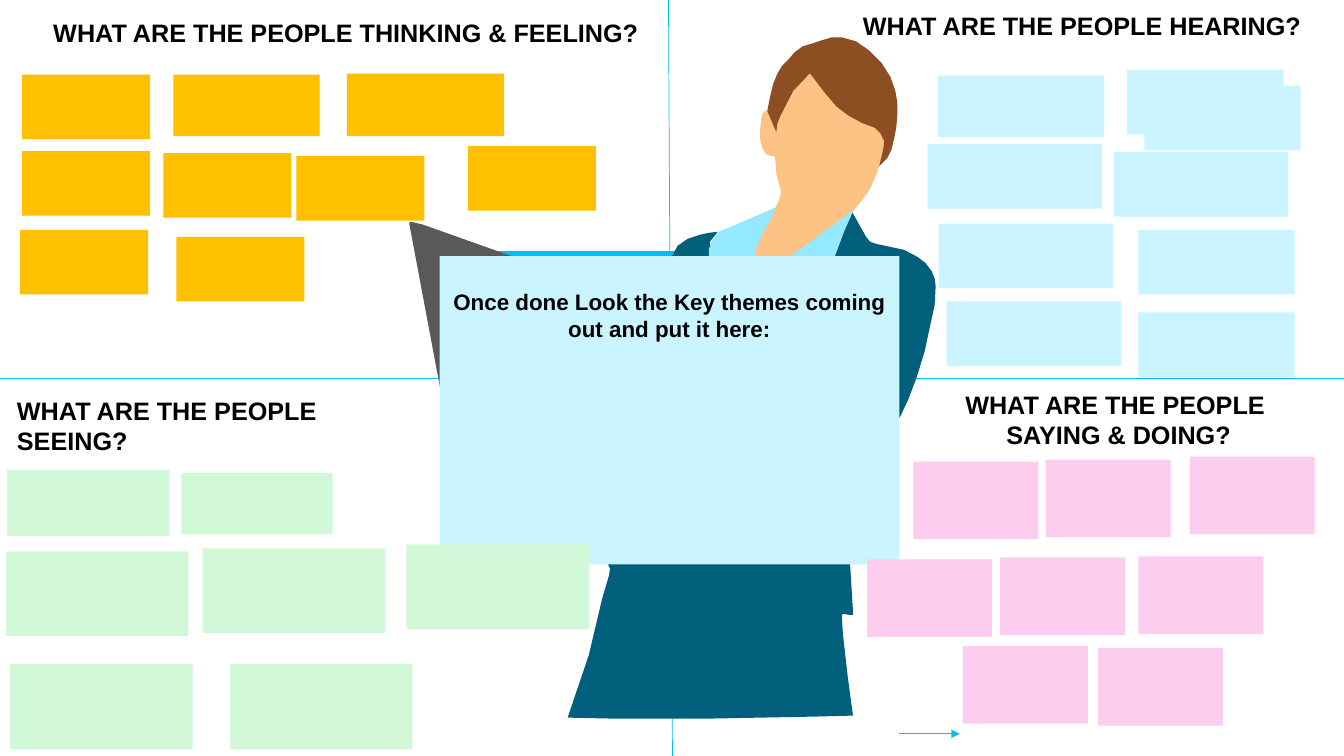
"""Build an empathy map slide with four quadrants of notes around a figure holding a board."""
from dataclasses import dataclass
from typing import Any

import pptx
import pptx.dml.color
import pptx.enum.shapes
import pptx.enum.text
import pptx.oxml
import pptx.oxml.ns
import pptx.util

BLACK, ACCENT, PALE_BLUE = "000000", "00BFF3", "CAF4FF"
ALIGN = pptx.enum.text.PP_ALIGN


@dataclass(frozen=True)
class Box:
    left: float
    top: float
    width: float
    height: float


@dataclass(frozen=True)
class Heading:
    box: Box
    lines: tuple[str, ...]
    align: Any = ALIGN.LEFT
    wrap: bool = True


@dataclass(frozen=True)
class NoteGroup:
    color: str
    width: float
    height: float
    corners: tuple[tuple[float, float], ...]


@dataclass(frozen=True)
class Outline:
    color: str
    points: tuple[tuple[int, int], ...]


@dataclass(frozen=True)
class Rule:
    start: tuple[float, float]
    end: tuple[float, float]
    arrow: bool = False


HEADINGS = (
    Heading(Box(0.43, 0.12, 6.06, 0.4), ("WHAT ARE THE PEOPLE THINKING & FEELING?",), wrap=False),
    Heading(Box(0.07, 3.87, 4.2, 0.71), ("WHAT ARE THE PEOPLE SEEING?",)),
    Heading(Box(8.46, 0.05, 4.69, 0.4), ("WHAT ARE THE PEOPLE HEARING?",)),
    Heading(Box(9.46, 3.81, 3.27, 0.71), ("WHAT ARE THE PEOPLE ", "SAYING & DOING?"),
            ALIGN.CENTER, wrap=False),
)

THINKING, SEEING, SAYING = "FFC000", "D1F9D8", "FDCDF0"
NOTE_GROUPS = (
    NoteGroup(THINKING, 1.27, 0.64, ((1.62, 1.52), (0.22, 1.5), (0.22, 0.74), (2.94, 1.55),
                                     (0.2, 2.28), (1.75, 2.35), (4.64, 1.45))),
    NoteGroup(THINKING, 1.45, 0.61, ((1.72, 0.74),)),
    NoteGroup(THINKING, 1.56, 0.62, ((3.44, 0.73),)),
    NoteGroup(PALE_BLUE, 1.65, 0.61, ((9.3, 0.75),)),
    NoteGroup(PALE_BLUE, 1.73, 0.64, ((9.2, 1.43), (9.31, 2.22), (9.39, 2.99), (11.05, 1.51))),
    NoteGroup(PALE_BLUE, 1.55, 0.64, ((11.18, 0.69), (11.29, 2.28), (11.29, 3.1), (11.35, 0.85))),
    NoteGroup(SEEING, 1.5, 0.61, ((1.8, 4.69),)),
    NoteGroup(SEEING, 1.61, 0.66, ((0.07, 4.66),)),
    NoteGroup(SEEING, 1.81, 0.84, ((2.28, 6.59), (2.01, 5.44), (0.1, 6.59), (0.06, 5.47),
                                   (4.03, 5.4))),
    NoteGroup(SAYING, 1.24, 0.77, ((9.06, 4.58), (10.37, 4.56), (11.8, 4.53), (8.6, 5.55),
                                   (9.92, 5.53), (11.29, 5.52), (9.55, 6.41), (10.89, 6.43))),
)

SUIT = Outline("005F7A", (
    (835, 612), (836, 629), (841, 673), (846, 710), (806, 711), (700, 713), (610, 713),
    (563, 712), (584, 650), (597, 595), (604, 571), (605, 564), (600, 554), (585, 536),
    (585, 532), (611, 496), (616, 485), (597, 490), (571, 492), (529, 489), (527, 487),
    (528, 485), (546, 488), (557, 483), (563, 477), (643, 470), (663, 471), (646, 533),
    (699, 540), (704, 535), (711, 469), (679, 467), (675, 453), (656, 440), (662, 403),
    (645, 406), (624, 408), (622, 405), (627, 372), (646, 322), (658, 277), (666, 255),
    (672, 244), (682, 237), (694, 233), (703, 231), (712, 230), (704, 240), (704, 256),
    (708, 266), (716, 261), (720, 279), (723, 290), (718, 310), (718, 332), (712, 400),
    (728, 358), (758, 307), (803, 260), (809, 261), (816, 283), (841, 218), (845, 210),
    (859, 235), (863, 240), (869, 242), (883, 245), (897, 248), (910, 255), (918, 261),
    (924, 269), (927, 276), (928, 284), (927, 303), (923, 321), (917, 349), (909, 375),
    (901, 396), (893, 413), (870, 448), (840, 488), (839, 492), (842, 541), (846, 606),
    (846, 610), (842, 610), (837, 609), (835, 610)))
SLEEVE = Outline("595959", (
    (406, 222), (406, 220), (408, 220), (420, 223), (510, 255), (512, 257), (537, 399),
    (606, 396), (613, 398), (677, 453), (679, 466), (542, 481), (534, 478), (446, 422),
    (443, 419)))
SKIN = Outline("FDC384", (
    (846, 210), (746, 282), (742, 280), (744, 267), (749, 249), (751, 240), (757, 230),
    (763, 219), (769, 206), (772, 200), (775, 190), (773, 184), (770, 173), (769, 159),
    (768, 155), (765, 155), (760, 153), (756, 147), (754, 138), (754, 128), (755, 119),
    (756, 113), (759, 110), (761, 110), (763, 113), (770, 129), (773, 116), (790, 86),
    (800, 75), (803, 73), (805, 75), (818, 92), (832, 107), (846, 117), (869, 127),
    (874, 132), (877, 140), (876, 148), (873, 162), (868, 176), (862, 189), (854, 200),
    (848, 207)))
SHIRT = Outline("94E8FF", (
    (769, 206), (765, 217), (755, 234), (750, 247), (748, 260), (742, 273), (743, 282),
    (745, 282), (759, 273), (791, 249), (820, 228), (844, 210), (846, 210), (838, 228),
    (816, 286), (813, 270), (805, 260), (771, 293), (731, 355), (712, 401), (718, 331),
    (718, 312), (721, 295), (720, 280), (716, 261), (706, 268), (703, 255), (703, 248),
    (706, 239), (713, 230), (732, 222)))
HAIR = Outline("8D4E22", (
    (876, 148), (877, 140), (873, 132), (868, 127), (855, 122), (842, 115), (830, 106),
    (818, 92), (805, 75), (803, 73), (801, 75), (787, 90), (774, 115), (771, 123),
    (770, 131), (761, 110), (762, 105), (764, 95), (767, 83), (771, 73), (776, 65),
    (782, 59), (788, 52), (796, 46), (806, 43), (815, 40), (825, 37), (835, 37),
    (849, 41), (862, 50), (874, 62), (883, 76), (888, 90), (890, 102), (890, 114),
    (889, 126), (887, 137), (884, 149), (880, 157), (872, 165)))

BACKDROP = Box(4.44, 2.49, 4.44, 2.52)
BOARD = Box(4.36, 2.54, 4.56, 3.06)
BOARD_TEXT = "Once done Look the Key themes coming out and put it here:"
QUADRANT_RULES = (Rule((13.33, 3.75), (0, 3.75)), Rule((6.63, 0), (6.67, 7.5)))
FOOT_ARROW = Rule((8.92, 7.28), (9.52, 7.28), arrow=True)


def rgb(color: str) -> pptx.dml.color.RGBColor:
    """Turn a hex string into a colour."""
    return pptx.dml.color.RGBColor.from_string(color)


def length(inches: float) -> pptx.util.Length:
    """Turn slide units into a length."""
    return pptx.util.Cm(inches * 2.54)


def frame(box: Box) -> tuple[pptx.util.Length, ...]:
    """Give left, top, width and height of a box as lengths."""
    return tuple(length(side) for side in (box.left, box.top, box.width, box.height))


def paint(shape: Any, color: str) -> None:
    """Fill a shape flat, without line or shadow."""
    shape.shadow.inherit = False
    shape.fill.solid()
    shape.fill.fore_color.rgb = rgb(color)
    shape.line.fill.background()


def add_block(slide: Any, box: Box, color: str) -> Any:
    """Draw a flat rectangle."""
    block = slide.shapes.add_shape(pptx.enum.shapes.MSO_SHAPE.RECTANGLE, *frame(box))
    paint(block, color)
    return block


def add_outline(slide: Any, outline: Outline) -> None:
    """Draw a closed outline given in hundredths of a slide unit."""
    first, *others = outline.points
    builder = slide.shapes.build_freeform(*first, scale=length(0.01))
    builder.add_line_segments(others, close=True)
    paint(builder.convert_to_shape(), outline.color)


def add_rule(slide: Any, rule: Rule) -> None:
    """Draw a thin line, with an arrowhead if asked for."""
    ends = [length(value) for value in (*rule.start, *rule.end)]
    line = slide.shapes.add_connector(pptx.enum.shapes.MSO_CONNECTOR.STRAIGHT, *ends)
    line.line.color.rgb = rgb(ACCENT)
    line.line.width = pptx.util.Pt(0.5)
    qn = pptx.oxml.ns.qn
    properties = line._element.spPr
    if rule.arrow:
        head = properties.find(qn("a:ln")).makeelement(qn("a:tailEnd"), {"type": "triangle"})
        properties.find(qn("a:ln")).append(head)
    properties.append(properties.makeelement(qn("a:effectLst"), {}))


def write(text_frame: Any, lines: tuple[str, ...], size: int, align: Any, layout: dict[str, Any]) -> None:
    """Write bold lines, one paragraph each."""
    layout = {"vertical_anchor": pptx.enum.text.MSO_ANCHOR.TOP, "word_wrap": True} | layout
    for key, value in layout.items():
        setattr(text_frame, key, value)
    letters = {"name": "Arial", "size": pptx.util.Pt(size), "bold": True}
    for index, line in enumerate(lines):
        paragraph = text_frame.add_paragraph() if index else text_frame.paragraphs[0]
        paragraph.alignment = align
        run = paragraph.add_run()
        run.text = line
        for key, value in letters.items():
            setattr(run.font, key, value)
        run.font.color.rgb = rgb(BLACK)


def main() -> None:
    """Draw the slide and save it."""
    deck = pptx.Presentation()
    deck.slide_width, deck.slide_height = length(13.33), length(7.5)
    slide = deck.slides.add_slide(deck.slide_layouts[6])
    add_block(slide, BACKDROP, ACCENT)
    for rule in QUADRANT_RULES:
        add_rule(slide, rule)
    for heading in HEADINGS:
        title = slide.shapes.add_textbox(*frame(heading.box))
        write(title.text_frame, heading.lines, 18, heading.align, {"word_wrap": heading.wrap})
    for outline in (SUIT, SLEEVE, SKIN, SHIRT, HAIR):
        add_outline(slide, outline)
    board = add_block(slide, BOARD, PALE_BLUE)
    write(board.text_frame, (BOARD_TEXT,), 16, ALIGN.CENTER, {"margin_top": length(0.32)})
    add_rule(slide, FOOT_ARROW)
    for group in NOTE_GROUPS:
        for corner in group.corners:
            add_block(slide, Box(*corner, group.width, group.height), group.color)
    deck.save("out.pptx")


if __name__ == "__main__":
    main()
